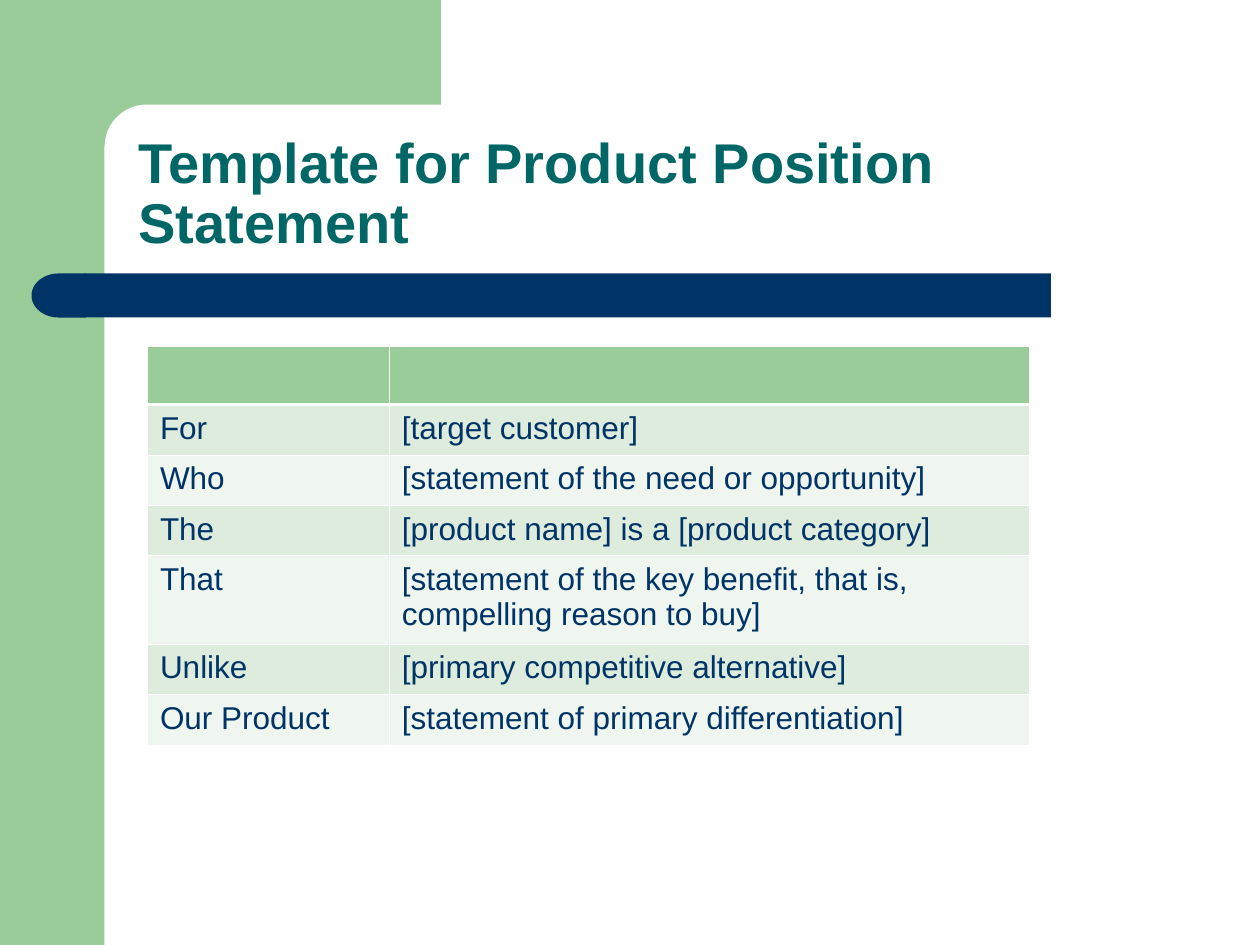
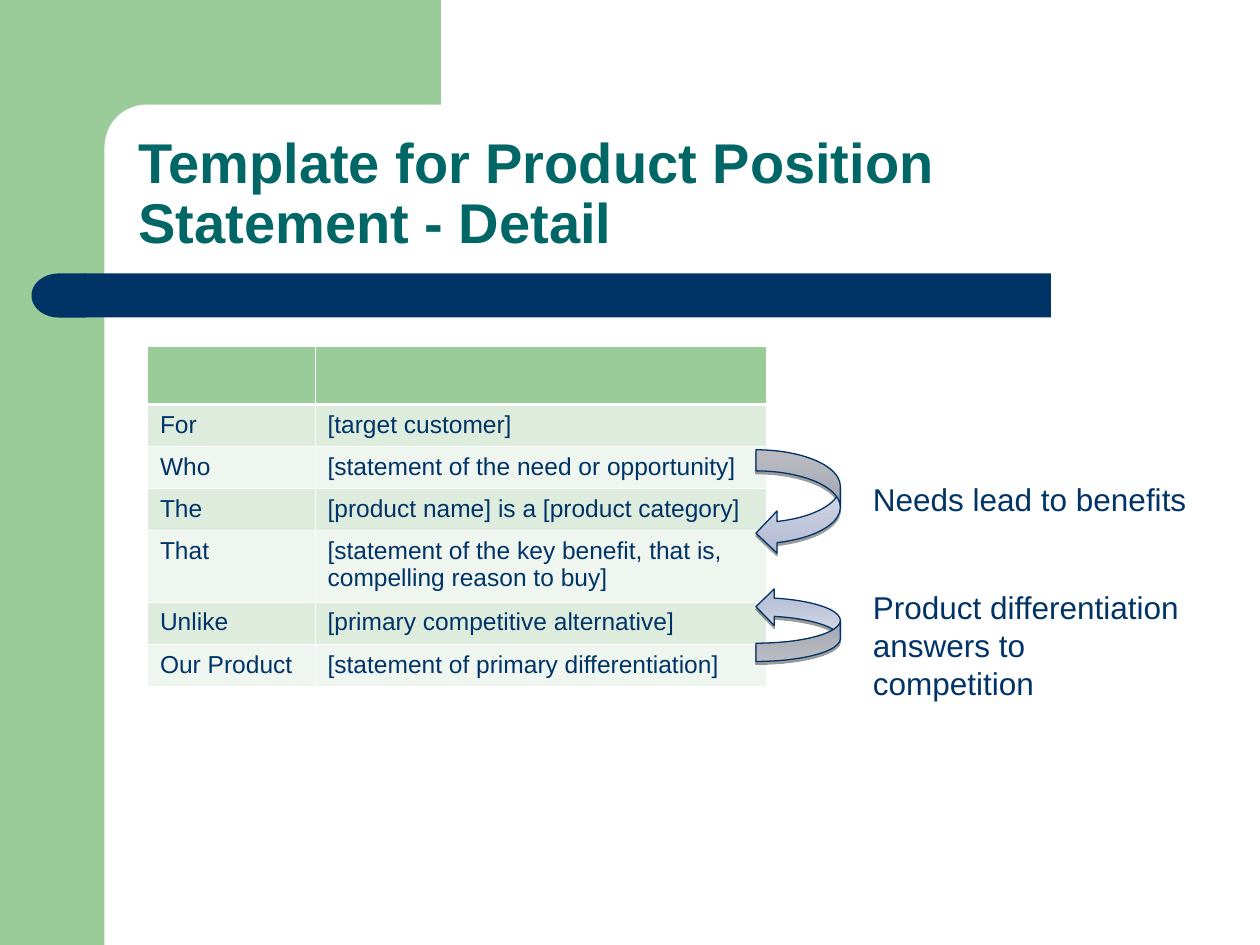
from dataclasses import dataclass

from lxml.etree import SubElement
from pptx import Presentation
from pptx.dml.color import RGBColor
from pptx.enum.shapes import MSO_SHAPE as Shape
from pptx.enum.text import MSO_ANCHOR as Anchor
from pptx.oxml.ns import qn
from pptx.util import Inches, Pt


@dataclass(frozen=True)
class Theme:
    font: str = "Arial"
    green: str = "99CC99"
    navy: str = "003366"
    teal: str = "006666"
    white: str = "FFFFFF"
    odd_row: str = "DEECDE"
    even_row: str = "EFF6EF"
    arrow_dark: str = "B1B9D1"
    arrow_light: str = "EAECF3"
    shadow: str = "000000"
    title_size: float = 32
    body_size: float = 18
    detail_size: float = 14
    thin_line: float = 0.45
    header_line: float = 1.47
    arrow_line: float = 0.75


THEME = Theme()
HEADER_HEIGHT = 0.46
STATEMENT = [
    ("For", "[target customer]"),
    ("Who", "[statement of the need or opportunity]"),
    ("The", "[product name] is a [product category]"),
    ("That", "[statement of the key benefit, that is, compelling reason to buy]"),
    ("Unlike", "[primary competitive alternative]"),
    ("Our Product", "[statement of primary differentiation]"),
]
TALL_ROW = 4


def rgb(color):
    return RGBColor.from_string(color)


def style_text(text_frame, size, color, bold=False):
    for para in text_frame.paragraphs:
        for span in para.runs:
            span.font.name = THEME.font
            span.font.size = Pt(size)
            span.font.bold = bold
            span.font.color.rgb = rgb(color)


def add_block(page, kind, left, top, width, height, color):
    block = page.shapes.add_shape(
        kind, Inches(left), Inches(top), Inches(width), Inches(height))
    block.shadow.inherit = False
    block.fill.solid()
    block.fill.fore_color.rgb = rgb(color)
    block.line.fill.background()
    return block


def add_text(page, text, left, top, width, height, size, color, bold=False, wrap=True):
    box = page.shapes.add_textbox(
        Inches(left), Inches(top), Inches(width), Inches(height))
    box.text_frame.word_wrap = wrap
    box.text_frame.text = text
    style_text(box.text_frame, size, color, bold)
    return box


def add_page(deck, title):
    page = deck.slides.add_slide(deck.slide_layouts[6])
    add_block(page, Shape.RECTANGLE, 0, 0, 0.83, 7.5, THEME.green)
    add_block(page, Shape.RECTANGLE, 0.75, 0, 2.75, 1.17, THEME.green)
    panel = add_block(page, Shape.ROUNDED_RECTANGLE, 0.83, 0.83, 5.58, 0.67, THEME.white)
    panel.adjustments[0] = 0.5
    add_block(page, Shape.RECTANGLE, 0.67, 2.17, 7.67, 0.35, THEME.navy)
    cap = add_block(page, Shape.FLOWCHART_DELAY, 0.25, 2.17, 0.43, 0.35, THEME.navy)
    cap.rotation = 180
    box = add_text(page, title, 1, 0.83, 8.75, 1.25, THEME.title_size, THEME.teal, bold=True)
    box.text_frame.vertical_anchor = Anchor.BOTTOM
    box.text_frame.paragraphs[0].line_spacing = 0.9
    return page


def set_borders(cell, top, bottom):
    properties = cell._tc.get_or_add_tcPr()
    widths = {"lnL": THEME.thin_line, "lnR": THEME.thin_line, "lnT": top, "lnB": bottom}
    for side, width in widths.items():
        line = SubElement(properties, qn(f"a:{side}"), w=str(Pt(width)))
        fill = SubElement(line, qn("a:solidFill"))
        SubElement(fill, qn("a:srgbClr"), val=THEME.white)


def add_statement_table(page, column_widths, row_height, tall_height, size):
    rows = [("", ""), *STATEMENT]
    heights = [HEADER_HEIGHT] + [row_height] * len(STATEMENT)
    heights[TALL_ROW] = tall_height
    table = page.shapes.add_table(
        len(rows), len(column_widths), Inches(1.17), Inches(2.75),
        Inches(sum(column_widths)), Inches(sum(heights))).table
    for column, width in zip(table.columns, column_widths):
        column.width = Inches(width)
    for index, (texts, height) in enumerate(zip(rows, heights)):
        table.rows[index].height = Inches(height)
        stripe = THEME.odd_row if index % 2 else THEME.even_row
        for cell, text in zip(table.rows[index].cells, texts):
            set_borders(
                cell,
                top=THEME.header_line if index == 1 else THEME.thin_line,
                bottom=THEME.header_line if index == 0 else THEME.thin_line)
            cell.fill.solid()
            cell.fill.fore_color.rgb = rgb(stripe if index else THEME.green)
            cell.text_frame.text = text
            style_text(cell.text_frame, size, THEME.navy)


def add_curved_arrow(page, top, height, upward=False):
    arrow = page.shapes.add_shape(
        Shape.CURVED_LEFT_ARROW, Inches(6), Inches(top), Inches(0.67), Inches(height))
    arrow.fill.gradient()
    arrow.fill.gradient_angle = 90
    for stop, color in zip(arrow.fill.gradient_stops, (THEME.arrow_dark, THEME.arrow_light)):
        stop.color.rgb = rgb(color)
    arrow.line.color.rgb = rgb(THEME.navy)
    arrow.line.width = Pt(THEME.arrow_line)
    properties = arrow._element.spPr
    if upward:
        properties.xfrm.set("flipV", "1")
    effects = SubElement(properties, qn("a:effectLst"))
    shadow = SubElement(
        effects, qn("a:outerShdw"), blurRad="0", dist=str(Pt(1.6)),
        dir="5400000", rotWithShape="0")
    color = SubElement(shadow, qn("a:srgbClr"), val=THEME.shadow)
    SubElement(color, qn("a:alpha"), val="38000")


def add_note(page, text, top, width, height):
    add_text(page, text, 6.83, top, width, height, THEME.body_size, THEME.navy, wrap=False)


def main():
    deck = Presentation()
    deck.slide_width, deck.slide_height = Inches(10), Inches(7.5)

    overview = add_page(deck, "Template for Product Position Statement")
    add_statement_table(overview, (1.92, 5.08), 0.4, 0.7, THEME.body_size)

    detail = add_page(deck, "Template for Product Position Statement - Detail")
    add_statement_table(detail, (1.33, 3.58), 0.33, 0.57, THEME.detail_size)
    add_curved_arrow(detail, 3.57, 0.83)
    add_note(detail, "Needs lead to benefits", 3.76, 2.69, 0.4)
    add_curved_arrow(detail, 4.67, 0.58, upward=True)
    add_note(detail, "Product differentiation\vanswers to competition", 4.62, 2.75, 0.7)

    deck.save("out.pptx")


if __name__ == "__main__":
    main()
